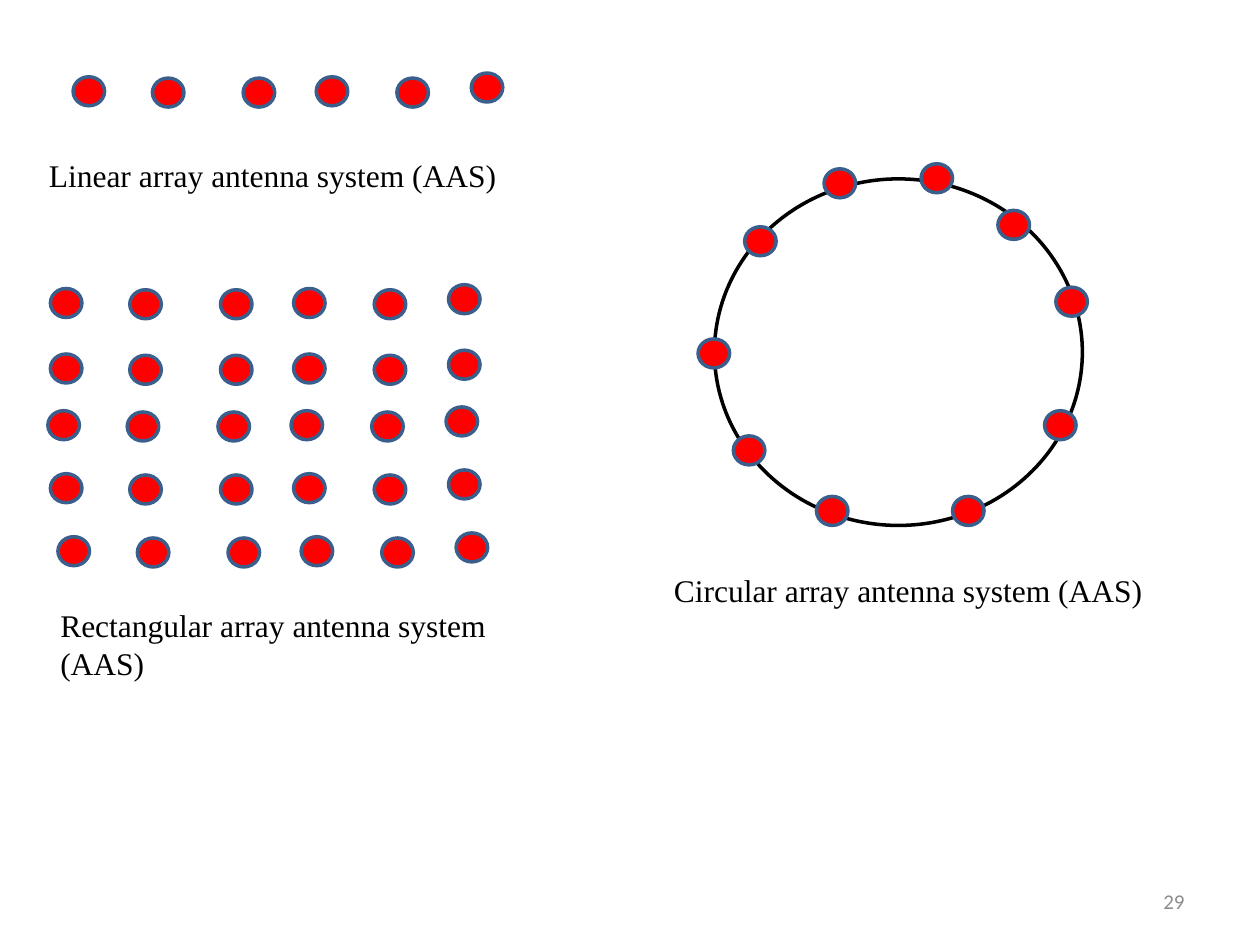
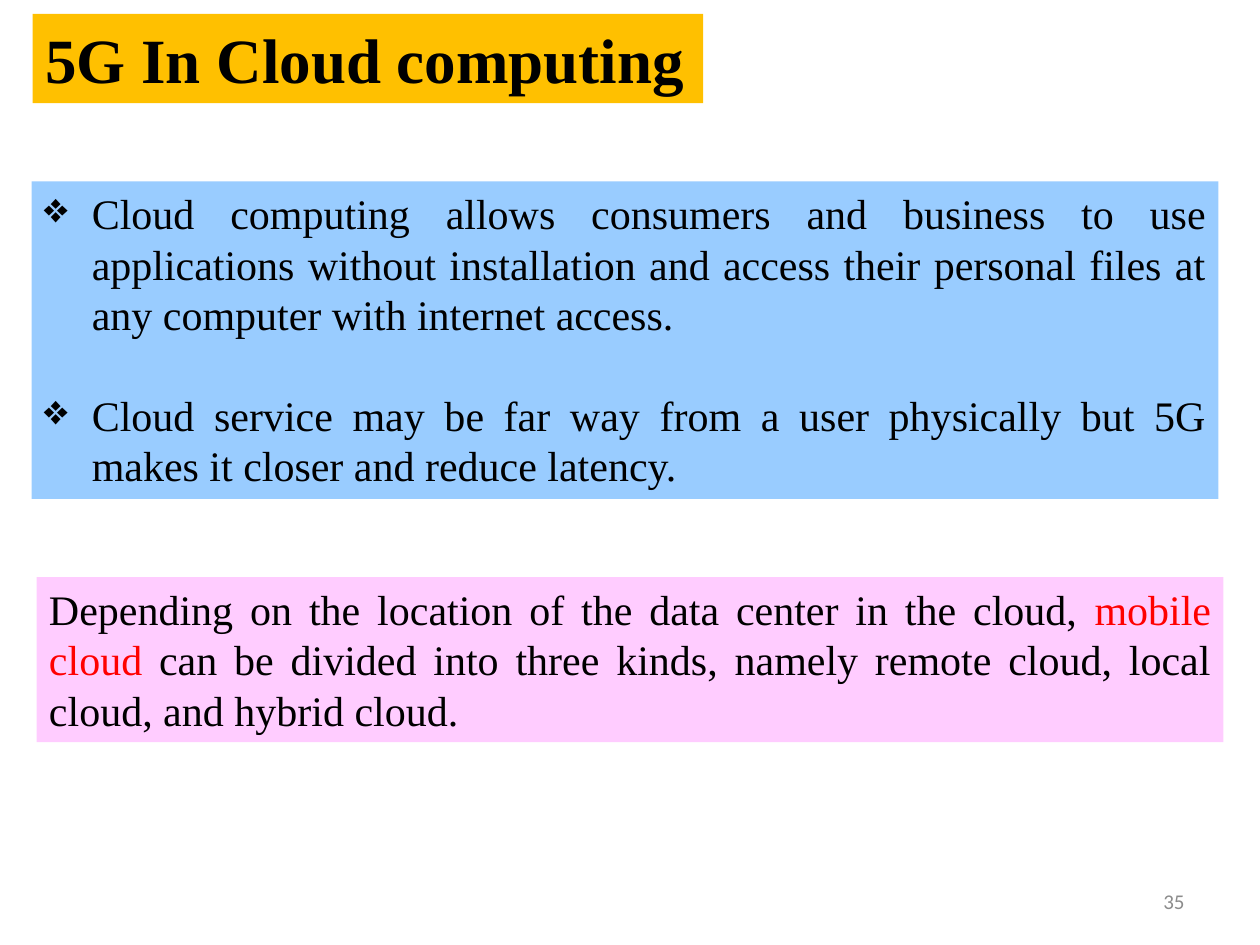
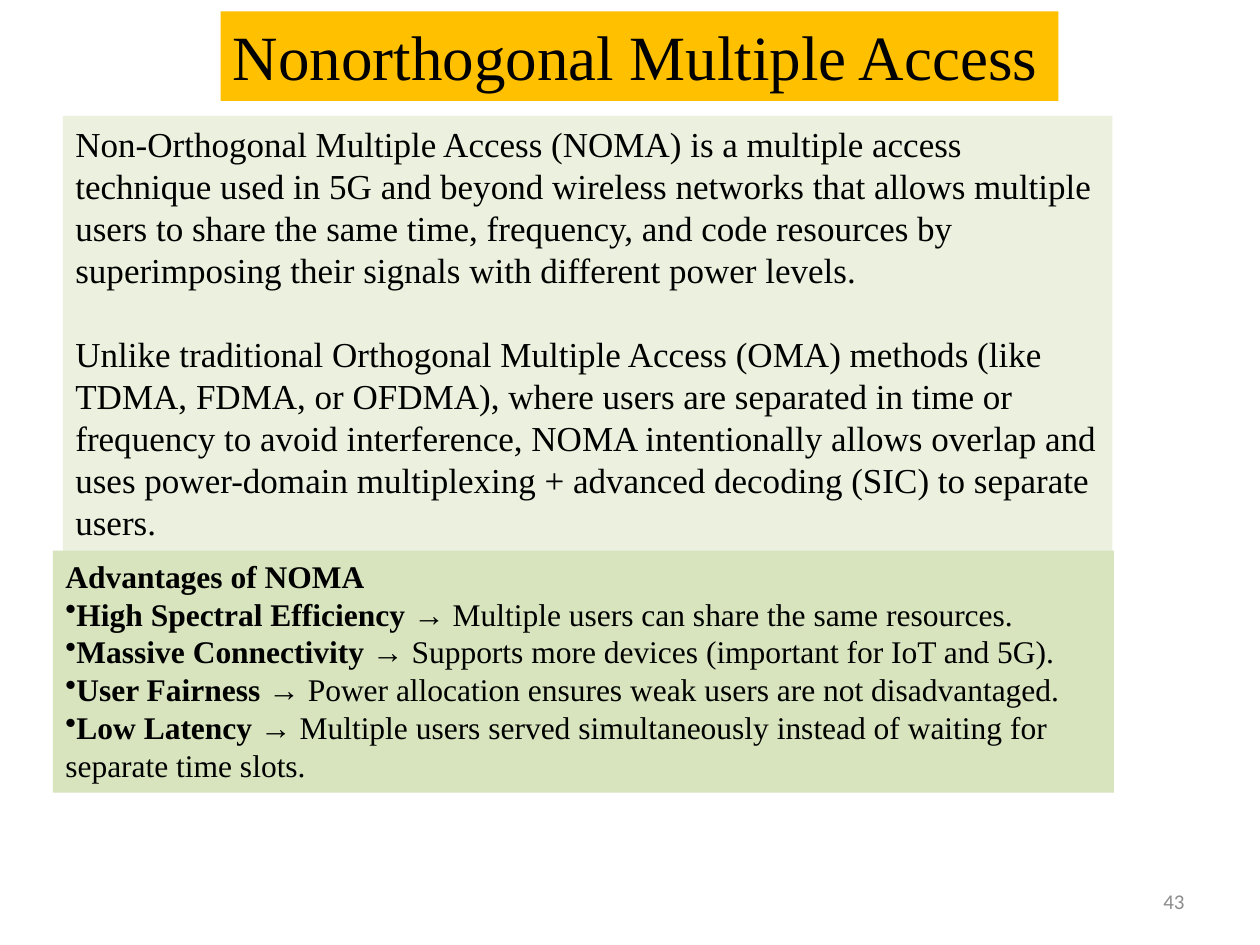
from lxml import etree
from pptx import Presentation
from pptx.dml.color import RGBColor
from pptx.enum.shapes import MSO_SHAPE
from pptx.enum.text import MSO_ANCHOR, PP_ALIGN
from pptx.oxml.ns import qn
from pptx.util import Pt

PX = 9144
OVAL = MSO_SHAPE.OVAL
LEFT, RIGHT, JUSTIFY = PP_ALIGN.LEFT, PP_ALIGN.RIGHT, PP_ALIGN.JUSTIFY
TOP, MIDDLE = MSO_ANCHOR.TOP, MSO_ANCHOR.MIDDLE

BLACK = RGBColor(0x00, 0x00, 0x00)
RED = RGBColor(0xFF, 0x00, 0x00)
STEEL = RGBColor(0x3A, 0x5F, 0x8C)
GRAY = RGBColor(0x8C, 0x8C, 0x8C)
AMBER = RGBColor(0xFF, 0xC0, 0x00)
SKY = RGBColor(0x99, 0xCC, 0xFF)
PINK = RGBColor(0xFF, 0xCC, 0xFF)
PALE_GREEN = RGBColor(0xEB, 0xF1, 0xDE)
GREEN = RGBColor(0xD7, 0xE4, 0xBD)

SERIF, SANS = "Times New Roman", "Calibri"
DOT_W, DOT_H = 25, 23
ROW_OFFSETS = [(0, 3), (63, 4), (135, 4), (193, 3), (257, 4), (316, 0)]
GRID_ROWS = [(2, 0), (2, 52), (0, 97), (2, 147), (8, 197)]
RING_OFFSETS = [(87, -8), (164, -12), (225, 25), (24, 38), (-13, 127),
                (15, 204), (81, 252), (189, 252), (262, 184), (271, 86)]


def emu(*lengths):
    return [n * PX for n in lengths]


def add_text(slide, box, paras, size=18, font=SERIF, color=BLACK, bold=False,
             fill=None, align=LEFT, anchor=TOP, bullet=None, indent=0, gap=0):
    sp = slide.shapes.add_textbox(*emu(*box))
    if fill is not None:
        sp.fill.solid()
        sp.fill.fore_color.rgb = fill
    tf = sp.text_frame
    tf.word_wrap = True
    tf.vertical_anchor = anchor
    for i, runs in enumerate(paras):
        p = tf.paragraphs[0] if i == 0 else tf.add_paragraph()
        p.alignment = align
        if isinstance(runs, str):
            runs = [(runs, {})]
        elif bullet:
            add_bullet(p, bullet, indent)
        if i and gap:
            p.space_before = Pt(gap)
        for text, style in runs:
            r = p.add_run()
            r.text = text
            r.font.size = Pt(size)
            r.font.name = font
            r.font.bold = style.get("bold", bold)
            r.font.color.rgb = style.get("color", color)
    return sp


def add_bullet(p, char, indent):
    pPr = p._p.get_or_add_pPr()
    pPr.set("marL", str(indent * PX))
    pPr.set("indent", str(-indent * PX))
    etree.SubElement(pPr, qn("a:buChar")).set("char", char)


def add_title(slide, box, text, bold=False):
    add_text(slide, box, [text], size=36, bold=bold, fill=AMBER)


def add_oval(group, box, line, fill=None):
    sp = group.shapes.add_shape(OVAL, *emu(*box))
    sp.shadow.inherit = False
    if fill is None:
        sp.fill.background()
    else:
        sp.fill.solid()
        sp.fill.fore_color.rgb = fill
    sp.line.color.rgb = line
    sp.line.width = Pt(2)


def add_dots(group, x, y, offsets):
    for dx, dy in offsets:
        add_oval(group, (x + dx, y + dy, DOT_W, DOT_H), STEEL, RED)


def add_antenna_row(slide, x, y):
    add_dots(slide.shapes.add_group_shape(), x, y, ROW_OFFSETS)


def add_antenna_grid(slide, x, y):
    for dx, dy in GRID_ROWS:
        add_antenna_row(slide, x + dx, y + dy)


def add_antenna_ring(slide, x, y, w, h):
    group = slide.shapes.add_group_shape()
    add_oval(group, (x, y, w, h), BLACK)
    add_dots(group, x, y, RING_OFFSETS)


def new_slide(prs, number):
    slide = prs.slides.add_slide(prs.slide_layouts[6])
    add_text(slide, (717, 695, 233, 40), [str(number)], size=12, font=SANS,
             color=GRAY, align=RIGHT, anchor=MIDDLE)
    return slide


def antenna_slide(prs):
    slide = new_slide(prs, 29)
    add_antenna_row(slide, 58, 58)
    add_text(slide, (29, 119, 383, 40), ["Linear array antenna system (AAS)"])
    add_antenna_grid(slide, 38, 226)
    add_text(slide, (38, 476, 429, 71), ["Rectangular array antenna system (AAS)"])
    add_antenna_ring(slide, 567, 142, 292, 275)
    add_text(slide, (525, 448, 425, 40), ["Circular array antenna system (AAS)"])


def cloud_slide(prs):
    slide = new_slide(prs, 35)
    points = [
        "Cloud computing allows consumers and business to use applications "
        "without installation and access their personal files at any computer "
        "with internet access.",
        "Cloud service may be far way from a user physically but 5G makes it "
        "closer and reduce latency.",
    ]
    add_text(slide, (25, 144, 942, 252), [[(point, {})] for point in points],
             size=24, fill=SKY, align=JUSTIFY, bullet="❖", indent=38, gap=28.8)
    kinds = [
        ("Depending on the location of the data center in the cloud, ", {}),
        ("mobile cloud ", {"color": RED}),
        ("can be divided into three kinds, namely remote cloud, local cloud, "
         "and hybrid cloud.", {}),
    ]
    add_text(slide, (29, 458, 942, 131), [kinds], size=24, fill=PINK, align=JUSTIFY)
    add_title(slide, (26, 11, 532, 71), "5G In Cloud computing", bold=True)


def noma_slide(prs):
    slide = new_slide(prs, 43)
    add_text(slide, (50, 92, 833, 347), [
        "Non-Orthogonal Multiple Access (NOMA) is a multiple access technique "
        "used in 5G and beyond wireless networks that allows multiple users to "
        "share the same time, frequency, and code resources by superimposing "
        "their signals with different power levels.",
        "Unlike traditional Orthogonal Multiple Access (OMA) methods (like TDMA, "
        "FDMA, or OFDMA), where users are separated in time or frequency to avoid "
        "interference, NOMA intentionally allows overlap and uses power-domain "
        "multiplexing + advanced decoding (SIC) to separate users.",
    ], size=20, fill=PALE_GREEN, gap=24)
    add_title(slide, (175, 9, 665, 71), "Nonorthogonal Multiple Access")
    advantages = [
        ("High Spectral Efficiency", "Multiple users can share the same resources."),
        ("Massive Connectivity", "Supports more devices (important for IoT and 5G)."),
        ("User Fairness", "Power allocation ensures weak users are not disadvantaged."),
        ("Low Latency", "Multiple users served simultaneously instead of waiting "
                        "for separate time slots."),
    ]
    lines = [[(name, {}), (f" → {benefit}", {"bold": False})]
             for name, benefit in advantages]
    add_text(slide, (42, 437, 842, 192), ["Advantages of NOMA"] + lines,
             bold=True, fill=GREEN, bullet="•")


def main():
    prs = Presentation()
    prs.slide_width, prs.slide_height = emu(1000, 750)
    antenna_slide(prs)
    cloud_slide(prs)
    noma_slide(prs)
    prs.save("out.pptx")


if __name__ == "__main__":
    main()
